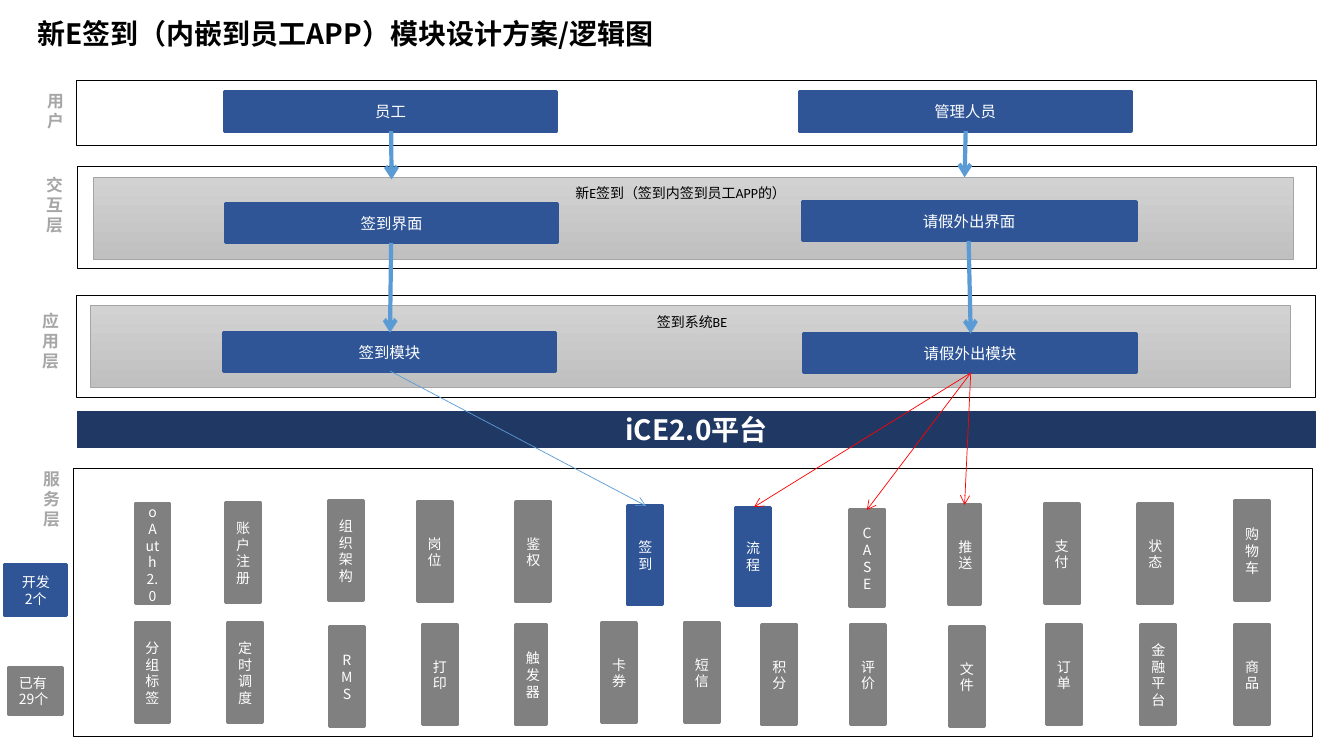
from lxml import etree
from pptx import Presentation, util as u
from pptx.dml.color import RGBColor
from pptx.enum import shapes, text
from pptx.oxml import ns

Pt = u.Pt
CJK = "Noto Sans CJK SC"
COLORS = {
    "black": "000000", "white": "FFFFFF", "label": "A6A6A6", "navy": "203864",
    "blue": "2F5597", "gray": "808080", "sky": "5B9BD5", "red": "FF0000",
    "panel_top": "D2D2D2", "panel_bottom": "C0C0C0", "panel_line": "A5A5A5",
}
FRAMES = [(54.7, 57.6, 885.6, 46.1), (55.4, 118.8, 884.9, 72.7),
          (54.7, 211, 884.9, 72.7), (52.6, 334.1, 884.9, 191.5)]
PANELS = [(67, 126.7, 856.8, 58.3), (64.8, 218.2, 856.8, 58.3)]
LAYERS = [("用户", 26.6, 61.2, 36.7), ("交互层", 25.9, 121, 51.1),
          ("应用层", 23, 218.2, 51.1), ("服务层", 23.8, 331.2, 51.1)]
CAPTIONS = [("新E签到（签到内签到员工APP的）", 403.9, 128.2, 167),
            ("签到系统BE", 462.2, 220.3, 65.5)]
MODULES = [("员工", 160.6, 65.5, 236.9), ("管理人员", 571, 65.5, 236.9),
           ("签到界面", 161.3, 145.4, 236.9), ("请假外出界面", 573.1, 144, 238.3),
           ("签到模块", 159.8, 237.6, 236.9), ("请假外出模块", 573.8, 238.3, 238.3)]
# name, left, top, then any of width, height, colour that differs
SERVICES = [
    ("oAuth2.0", 96.5, 360, {}), ("账户注册", 161.3, 359.3, {}),
    ("组织架构", 234.7, 357.8, {}), ("岗位", 298.1, 358.6, {}),
    ("鉴权", 368.6, 358.6, {}),
    ("签到", 448.6, 361.4, {"color": "blue", "h": 70.6}),
    ("流程", 525.6, 362.2, {"color": "blue", "h": 70.6}),
    ("CASE", 607, 364.3, {"h": 69.1}), ("推送", 677.5, 360.7, {"w": 23}),
    ("支付", 745.9, 360, {}), ("状态", 812.9, 360, {}), ("购物车", 882, 357.8, {}),
    ("分组标签", 96.5, 445, {}), ("定时调度", 162.7, 445, {}),
    ("RMS", 235.4, 447.8, {}), ("打印", 301.7, 446.4, {}),
    ("触发器", 368.6, 446.4, {"w": 21.6}), ("卡券", 429.8, 445, {}),
    ("短信", 488.9, 445, {}), ("积分", 544.3, 446.4, {}),
    ("评价", 607.7, 446.4, {}), ("文件", 678.2, 447.8, {}),
    ("订单", 747.4, 446.4, {}), ("金融平台", 815, 446.4, {}), ("商品", 882, 446.4, {}),
]
FLOWS = [((279.4, 93.6), (279.7, 128.2)), ((689.8, 93.6), (689, 126.7)),
         ((279.4, 173.5), (278.6, 237.6)), ((691.9, 172.1), (693.4, 238.3))]
LEAVE_BOTTOM = (693.4, 266.4)
LEAVE_CALLS = [(619.2, 364.3), (538.6, 362.2), (689, 360.7)]


def rgb(name):
    return RGBColor.from_string(COLORS[name])


def write(tf, content, size=10, color="white", bold=False, font=CJK,
          align=text.PP_ALIGN.LEFT):
    """Put each line of content in its own formatted paragraph."""
    tf.word_wrap = True
    for i, line in enumerate(content.split("\n")):
        p = tf.paragraphs[0] if i == 0 else tf.add_paragraph()
        p.alignment = align
        r = p.add_run()
        r.text = line
        r.font.size, r.font.bold, r.font.name = Pt(size), bold, font
        r.font.color.rgb = rgb(color)
        ea = etree.SubElement(r._r.get_or_add_rPr(), ns.qn("a:ea"))
        ea.set("typeface", CJK)


def add_label(s, content, x, y, w, h, **fmt):
    tf = s.shapes.add_textbox(Pt(x), Pt(y), Pt(w), Pt(h)).text_frame
    write(tf, content, **fmt)
    tf.auto_size = text.MSO_AUTO_SIZE.SHAPE_TO_FIT_TEXT


def add_rect(s, x, y, w, h, line, weight):
    sp = s.shapes.add_shape(shapes.MSO_SHAPE.RECTANGLE, Pt(x), Pt(y), Pt(w), Pt(h))
    sp.shadow.inherit = False
    sp.fill.background()
    sp.line.color.rgb = rgb(line)
    sp.line.width = Pt(weight)
    return sp


def add_panel(s, x, y, w, h):
    sp = add_rect(s, x, y, w, h, "panel_line", 0.5)
    sp.fill.gradient()
    sp.fill.gradient_angle = 270
    for stop, name in zip(sp.fill.gradient_stops, ("panel_top", "panel_bottom")):
        stop.color.rgb = rgb(name)


def add_block(s, content, x, y, w, h, color="gray", weight=2.25,
              align=text.PP_ALIGN.CENTER, **fmt):
    """Add a solid rectangle with white text."""
    sp = add_rect(s, x, y, w, h, color, weight)
    sp.fill.solid()
    sp.fill.fore_color.rgb = rgb(color)
    sp.text_frame.vertical_anchor = text.MSO_ANCHOR.MIDDLE
    write(sp.text_frame, content, align=align, **fmt)


def add_arrow(s, start, end, color="sky", weight=0.5):
    c = s.shapes.add_connector(shapes.MSO_CONNECTOR.STRAIGHT,
                               *(Pt(v) for v in start + end))
    c.line.color.rgb = rgb(color)
    c.line.width = Pt(weight)
    etree.SubElement(c.line._get_or_add_ln(), ns.qn("a:tailEnd")).set("type", "arrow")
    etree.SubElement(c._element.spPr, ns.qn("a:effectLst"))


def main():
    prs = Presentation()
    prs.slide_width, prs.slide_height = Pt(960), Pt(540)
    s = prs.slides.add_slide(prs.slide_layouts[6])

    add_label(s, "新E签到（内嵌到员工APP）模块设计方案/逻辑图", 19.4, 7.9, 508.3, 31.7,
              size=20, color="black", bold=True)
    for panel in PANELS:
        add_panel(s, *panel)
    for frame in FRAMES:
        add_rect(s, *frame, "black", 0.25)
    add_block(s, "iCE2.0平台", 55.4, 293.8, 884.2, 25.9, color="navy", weight=0.25,
              size=20, bold=True)
    for name, x, y, h in LAYERS:
        add_label(s, name, x, y, 28.8, h, size=12, color="label", bold=True)
    for caption, x, y, w in CAPTIONS:
        add_label(s, caption, x, y, w, 19.4, color="black", font="Calibri")
    for name, x, y, w in MODULES:
        add_block(s, name, x, y, w, 28.1, color="blue", size=11)
    for name, x, y, changes in SERVICES:
        add_block(s, name, x, y, **{"w": 24.8, "h": 71.3, **changes})
    add_block(s, "开发\n2个", 3.6, 403.2, 43.9, 36.7, color="blue")
    add_block(s, "已有\n29个", 6.5, 476.6, 38.2, 33.8, align=text.PP_ALIGN.LEFT)

    for start, end in FLOWS:
        add_arrow(s, start, end, weight=3)
    add_arrow(s, (278.6, 265), (461.5, 361.4))
    for end in LEAVE_CALLS:
        add_arrow(s, LEAVE_BOTTOM, end, color="red")
    prs.save("out.pptx")


if __name__ == "__main__":
    main()
